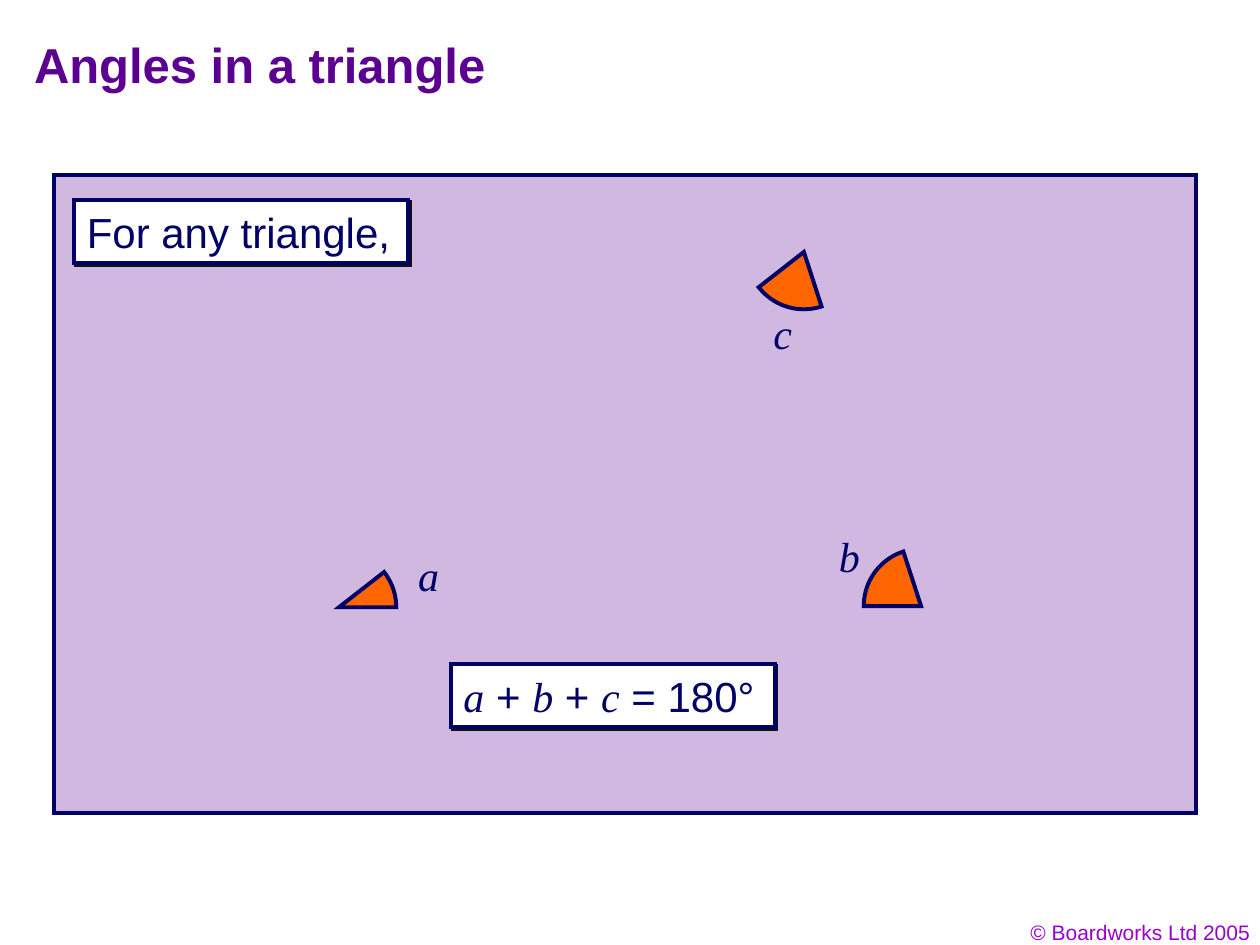
from lxml.etree import SubElement
from pptx import Presentation
from pptx.dml.color import RGBColor
from pptx.enum.shapes import MSO_SHAPE as Preset
from pptx.enum.text import MSO_ANCHOR as Anchor, PP_ALIGN as Align
from pptx.oxml.ns import qn
from pptx.util import Inches, Pt

NAVY = RGBColor(0x00, 0x00, 0x66)
LILAC = RGBColor(0xD0, 0xB8, 0xE0)
ORANGE = RGBColor(0xFF, 0x66, 0x00)
WHITE = RGBColor(0xFF, 0xFF, 0xFF)
PURPLE = RGBColor(0x5B, 0x00, 0x91)
VIOLET = RGBColor(0x99, 0x00, 0xCC)

presentation = Presentation()
presentation.slide_width, presentation.slide_height = Inches(10), Inches(7.5)
slide = presentation.slides.add_slide(presentation.slide_layouts[5])

# Grid of 100 columns by 75 rows
COLUMN = presentation.slide_width / 100
ROW = presentation.slide_height / 75


def grid_box(left, top, width, height):
    return [int(n * step) for n, step in
            zip((left, top, width, height), (COLUMN, ROW, COLUMN, ROW))]


def outlined(preset, place, fill):
    shape = slide.shapes.add_shape(preset, *grid_box(*place))
    shape.shadow.inherit = False
    shape.fill.solid()
    shape.fill.fore_color.rgb = fill
    shape.line.color.rgb = NAVY
    shape.line.width = Pt(2.25)
    SubElement(shape.line._get_or_add_ln(), qn("a:miter"), lim="800000")
    return shape


# Title
title = slide.shapes.title
title.left, title.top, title.width, title.height = grid_box(1.7, 1.7, 85, 6.7)
title.text_frame.text = "Angles in a triangle"
title.text_frame.vertical_anchor = Anchor.MIDDLE
heading = title.text_frame.paragraphs[0]
heading.alignment = Align.LEFT
heading.font.name, heading.font.size, heading.font.bold = "Arial", Pt(28), True
heading.font.color.rgb = PURPLE

# Background panel
outlined(Preset.RECTANGLE, (4.3, 13.9, 90.6, 50.6), LILAC)

# Angle sectors: centre, start and end in degrees clockwise from the right
ANGLE_A, ANGLE_B = 38, 72
RADIUS = 4.55
sectors = [
    (26.9, 48.2, 360 - ANGLE_A, 0),
    (73.1, 48.1, 180, 180 + ANGLE_B),
    (63.8, 20, ANGLE_B, 180 - ANGLE_A),
]
for x, y, start, end in sectors:
    place = (x - RADIUS, y - RADIUS, 2 * RADIUS, 2 * RADIUS)
    sector = outlined(Preset.PIE, place, ORANGE)
    # Angles are stored in 60000ths of a degree, adjustments in 100000ths
    sector.adjustments[0] = start * 0.6
    sector.adjustments[1] = end * 0.6

# Angle labels
for letter, left, top in [("a", 32.2, 43.1), ("b", 65.6, 41.6), ("c", 60.4, 23.9)]:
    label = slide.shapes.add_textbox(*grid_box(left, top, 3.6, 5))
    label.text_frame.text = letter
    font = label.text_frame.paragraphs[0].font
    font.name, font.size, font.italic = "Times New Roman", Pt(24), True
    font.color.rgb = NAVY

# Statement boxes with a hard shadow; single letters are variables
statements = [
    ((5.9, 15.9, 26.5, 5), ["For any triangle,"]),
    ((35.8, 52.7, 25.7, 5), ["a", " + ", "b", " + ", "c", " = 180°"]),
]
for place, pieces in statements:
    statement = outlined(Preset.RECTANGLE, place, WHITE)
    effects = statement._element.spPr.find(qn("a:effectLst"))
    shadow = SubElement(effects, qn("a:outerShdw"), dist=str(Pt(1.4)),
                        dir="2700000", algn="ctr", rotWithShape="0")
    SubElement(shadow, qn("a:srgbClr"), val="111111")
    paragraph = statement.text_frame.paragraphs[0]
    paragraph.alignment = Align.LEFT
    for piece in pieces:
        run = paragraph.add_run()
        run.text = piece
        variable = len(piece) == 1
        run.font.name = "Times New Roman" if variable else "Arial"
        run.font.italic = variable
        run.font.size = Pt(24)
        run.font.color.rgb = NAVY

# Copyright line
footer = slide.shapes.add_textbox(*grid_box(76.9, 72.5, 23.3, 3))
footer.text_frame.word_wrap = True
footer.text_frame.text = "© Boardworks Ltd 2005"
credit = footer.text_frame.paragraphs[0]
credit.alignment = Align.RIGHT
credit.font.name, credit.font.size = "Arial", Pt(12)
credit.font.color.rgb = VIOLET

presentation.save("out.pptx")
